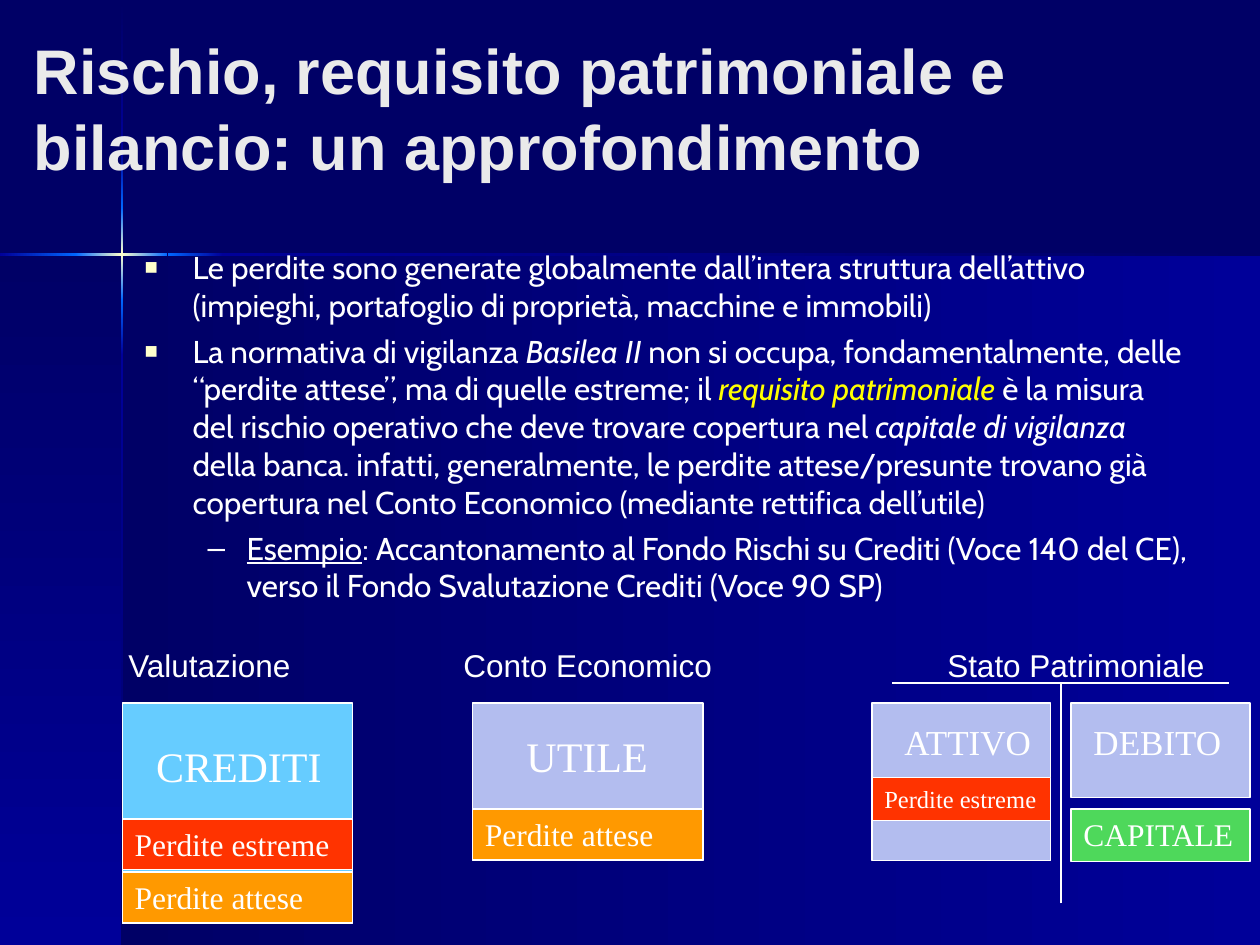
from lxml.etree import SubElement
from pptx import Presentation
from pptx.dml.color import RGBColor
from pptx.enum.shapes import MSO_CONNECTOR, MSO_SHAPE
from pptx.enum.text import MSO_ANCHOR, PP_ALIGN
from pptx.oxml.ns import qn
from pptx.util import Inches, Pt

NIGHT = RGBColor(0x00, 0x00, 0x66)
NAVY = RGBColor(0x00, 0x00, 0x99)
BLUE = RGBColor(0x00, 0x66, 0xFF)
CREAM = RGBColor(0xFF, 0xFF, 0xCC)
WHITE = RGBColor(0xFF, 0xFF, 0xFF)
PALE = RGBColor(0xEA, 0xEA, 0xEA)
YELLOW = RGBColor(0xFF, 0xFF, 0x00)
SKY = RGBColor(0x66, 0xCC, 0xFF)
LILAC = RGBColor(0xB3, 0xBD, 0xEF)
RED = RGBColor(0xFF, 0x33, 0x00)
ORANGE = RGBColor(0xFF, 0x99, 0x00)
GREEN = RGBColor(0x4E, 0xD8, 0x5B)
SANS, BODY, SERIF = "Arial", "Cabin", "Times New Roman"


def style(para, size, name, color=WHITE, bold=None):
    font = para.font
    font.size, font.name, font.bold = Pt(size), name, bold
    font.color.rgb = color


def rect(slide, x, y, w, h):
    shape = slide.shapes.add_shape(
        MSO_SHAPE.RECTANGLE, Inches(x), Inches(y), Inches(w), Inches(h))
    shape.shadow.inherit = False
    return shape


def fade(slide, x, y, w, h, angle, *colors):
    """Borderless rectangle with evenly spaced gradient stops."""
    shape = rect(slide, x, y, w, h)
    shape.line.fill.background()
    shape.fill.gradient()
    grad = shape._element.spPr.find(qn("a:gradFill"))
    stops = grad.find(qn("a:gsLst"))
    for stop in list(stops):
        stops.remove(stop)
    for i, color in enumerate(colors):
        stop = SubElement(stops, qn("a:gs"), pos=str(100000 * i // (len(colors) - 1)))
        SubElement(stop, qn("a:srgbClr"), val=str(color))
    grad.find(qn("a:lin")).set("ang", str(angle * 60000))


def label(slide, x, y, w, h, text, size, name=SERIF, color=WHITE, bold=None,
          anchor=MSO_ANCHOR.TOP):
    box = slide.shapes.add_textbox(Inches(x), Inches(y), Inches(w), Inches(h))
    frame = box.text_frame
    frame.word_wrap, frame.vertical_anchor = True, anchor
    frame.text = text
    style(frame.paragraphs[0], size, name, color, bold)


def block(slide, x, y, w, h, color, text="", size=18):
    shape = rect(slide, x, y, w, h)
    shape.fill.solid()
    shape.fill.fore_color.rgb = color
    shape.line.color.rgb, shape.line.width = WHITE, Pt(0.75)
    if text:
        frame = shape.text_frame
        frame.word_wrap, frame.vertical_anchor = True, MSO_ANCHOR.TOP
        frame.text = text
        frame.paragraphs[0].alignment = PP_ALIGN.LEFT
        style(frame.paragraphs[0], size, SERIF)


def rule(slide, x1, y1, x2, y2):
    line = slide.shapes.add_connector(
        MSO_CONNECTOR.STRAIGHT, Inches(x1), Inches(y1), Inches(x2), Inches(y2))
    line.line.color.rgb, line.line.width = WHITE, Pt(0.75)
    SubElement(line._element.spPr, qn("a:effectLst"))


def backdrop(slide, x, y):
    """Panels below a glowing cross centred near (x, y)."""
    slide.background.fill.solid()
    slide.background.fill.fore_color.rgb = NIGHT
    fade(slide, x, y, 10 - x, 7.5 - y, 180, NAVY, NIGHT)
    fade(slide, 0, y, x, 7.5 - y, 90, NIGHT, NAVY)
    # Upright beam, top to bottom
    for top, end, colors in [
        (0.01, 1.21, (NIGHT, NAVY)),
        (1.21, 1.65, (NAVY, BLUE)),
        (1.65, 2.38, (BLUE, CREAM, BLUE)),
        (2.38, 2.82, (BLUE, NAVY)),
        (2.82, 7.5, (NAVY, NIGHT)),
    ]:
        fade(slide, x - 0.01, top, 0.02, end - top, 90, *colors)
    # Level beam, left to right; its colours run from the right
    for left, end, colors in [
        (0, 0.61, (BLUE, NAVY)),
        (1.33, 1.77, (NAVY, BLUE)),
        (1.77, 10, (NIGHT, NAVY)),
        (0.6, 1.33, (BLUE, CREAM, BLUE)),
    ]:
        fade(slide, left, y - 0.01, end - left, 0.02, 180, *colors)


def bullet(para, char, color, scale, left, hang):
    props = para._p.get_or_add_pPr()
    props.set("marL", str(Inches(left)))
    props.set("indent", str(-Inches(hang)))
    SubElement(SubElement(props, qn("a:buClr")), qn("a:srgbClr"), val=str(color))
    SubElement(props, qn("a:buSzPct"), val=str(scale * 1000))
    SubElement(props, qn("a:buFont"), typeface=SANS)
    SubElement(props, qn("a:buChar"), char=char)


def points(slide, x, y, w, h):
    """Bulleted text; each run is its words and a mark: i, u, y or none."""
    square = ("■", CREAM, 70, 0.38, 0.38)
    dash = ("–", WHITE, 100, 0.81, 0.31)
    items = [
        (square, [("Le perdite sono generate globalmente dall’intera struttura "
                   "dell’attivo (impieghi, portafoglio di proprietà, macchine e "
                   "immobili)", "")]),
        (square, [("La normativa di vigilanza ", ""), ("Basilea II", "i"),
                  (" non si occupa, fondamentalmente, delle “perdite attese”, "
                   "ma di quelle estreme; il ", ""),
                  ("requisito patrimoniale", "iy"),
                  (" è la misura del rischio operativo che deve trovare "
                   "copertura nel ", ""), ("capitale di vigilanza", "i"),
                  (" della banca. infatti, generalmente, le perdite "
                   "attese/presunte trovano già copertura nel Conto Economico "
                   "(mediante rettifica dell’utile)", "")]),
        (dash, [("Esempio", "u"),
                (": Accantonamento al Fondo Rischi su Crediti (Voce 140 del "
                 "CE), verso il Fondo Svalutazione Crediti (Voce 90 SP)", "")]),
    ]
    box = slide.shapes.add_textbox(Inches(x), Inches(y), Inches(w), Inches(h))
    frame = box.text_frame
    frame.word_wrap = True
    for i, (mark, runs) in enumerate(items):
        para = frame.add_paragraph() if i else frame.paragraphs[0]
        para.level = 1 if mark is dash else 0
        bullet(para, *mark)
        if i:
            para.space_before = Pt(4.5)
        style(para, 18, BODY)
        for text, flags in runs:
            run = para.add_run()
            run.text = text
            if "i" in flags:
                run.font.italic = True
            if "u" in flags:
                run.font.underline = True
            if "y" in flags:
                run.font.color.rgb = YELLOW


def credit(slide, x, y, w):
    label(slide, x - 0.05, y, 2.33, 0.4, "Valutazione", 18, SANS)
    block(slide, x, y + 0.5, w, 1.75, SKY)
    label(slide, x + 0.17, y + 0.75, 1.58, 0.5, "CREDITI", 24)
    block(slide, x, y + 1.84, w, 0.4, ORANGE, "Perdite attese")
    block(slide, x, y + 1.42, w, 0.4, RED, "Perdite estreme")


def income(slide, x, y, w):
    label(slide, x - 0.17, y, 2.33, 0.4, "Conto Economico", 18, SANS)
    block(slide, x, y + 0.5, w, 1.25, LILAC)
    label(slide, x + 0.33, y + 0.67, 1.42, 0.5, "UTILE", 24)
    block(slide, x, y + 1.34, w, 0.4, ORANGE, "Perdite attese")


def balance(slide, x, y, w):
    """Two-sided account: assets on the left, funding on the right."""
    right = x + w + 0.16
    mid = x + w + 0.08
    rule(slide, mid, y + 2.09, mid, y + 0.34)
    rule(slide, x + 0.16, y + 0.34, x + 2.83, y + 0.34)
    label(slide, x + 0.5, y, 2.33, 0.4, "Stato Patrimoniale", 18, SANS)
    block(slide, x, y + 0.5, w, 1.25, LILAC)
    label(slide, x + 0.16, y + 0.59, 1.25, 0.44, "ATTIVO", 20)
    block(slide, x, y + 1.09, w, 0.34, RED, "Perdite estreme", 14)
    block(slide, right, y + 0.5, w, 0.75, LILAC)
    label(slide, right + 0.08, y + 0.59, w, 0.44, "DEBITO", 20)
    block(slide, right, y + 1.34, w, 0.42, GREEN)
    label(slide, right, y + 1.34, w, 0.4, "CAPITALE", 18)


def main():
    deck = Presentation()
    deck.slide_width, deck.slide_height = Inches(10), Inches(7.5)
    slide = deck.slides.add_slide(deck.slide_layouts[6])
    backdrop(slide, 0.97, 2.02)
    label(slide, 0.17, 0.75, 8.5, 0.75,
          "Rischio, requisito patrimoniale e bilancio: un approfondimento",
          36, SANS, PALE, True, MSO_ANCHOR.BOTTOM)
    points(slide, 1.05, 1.92, 8.5, 3.42)
    credit(slide, 0.97, 5.08, 1.83)
    income(slide, 3.75, 5.08, 1.83)
    balance(slide, 6.92, 5.08, 1.42)
    deck.save("out.pptx")


if __name__ == "__main__":
    main()
